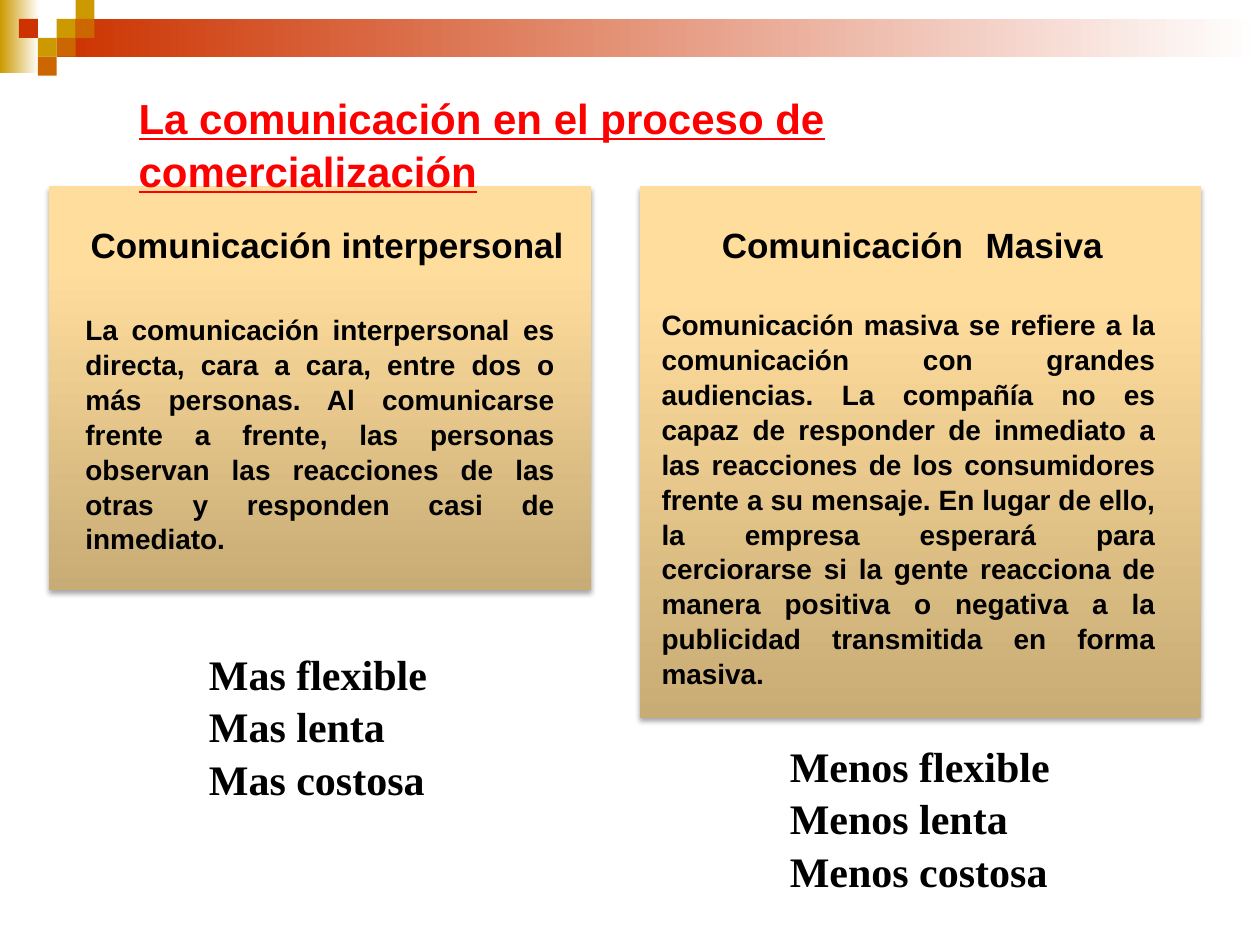
from copy import deepcopy
from dataclasses import dataclass

from lxml import etree
from pptx import Presentation
from pptx.dml.color import RGBColor
from pptx.enum import shapes, text
from pptx.oxml import ns
from pptx.util import Inches, Pt

COLORS = {
    "gold": "CC9900", "red": "CC3300", "orange": "CC6600", "white": "FFFFFF",
    "black": "000000", "title": "FF0000",
    "panel_dark": "C8AC75", "panel_mid": "FFDD9D", "panel_light": "FFDE9F",
}
SERIF = "Times New Roman"
LINE_SPACING = 1.04
TILE = 0.15


@dataclass(frozen=True)
class Area:
    left: float
    top: float
    width: float
    height: float

    def lengths(self) -> list:
        return [Inches(v) for v in (self.left, self.top, self.width, self.height)]


@dataclass(frozen=True)
class Column:
    panel: Area
    heading_area: Area
    heading: list      # (text, size) pairs
    body_area: Area
    body: str
    body_inset: bool
    traits_area: Area
    traits: list


def color(name: str) -> RGBColor:
    return RGBColor.from_string(COLORS[name])


def add_rect(page, area: Area, fill: str = ""):
    rect = page.shapes.add_shape(shapes.MSO_SHAPE.RECTANGLE, *area.lengths())
    rect.line.fill.background()
    rect.shadow.inherit = False
    if fill:
        rect.fill.solid()
        rect.fill.fore_color.rgb = color(fill)
    return rect


def set_gradient(rect, stops: list, angle: float) -> None:
    """Fill with (position, colour) stops; angle is counter-clockwise."""
    rect.fill.gradient()
    rect.fill.gradient_angle = angle
    stop_list = rect._element.spPr.find(".//" + ns.qn("a:gsLst"))
    template = deepcopy(stop_list[0])
    for stop in list(stop_list):
        stop_list.remove(stop)
    for position, name in stops:
        stop = deepcopy(template)
        stop.set("pos", str(position * 1000))
        stop.remove(stop[0])
        etree.SubElement(stop, ns.qn("a:srgbClr"), val=COLORS[name])
        stop_list.append(stop)


def add_soft_shadow(rect) -> None:
    effects = rect._element.spPr.find(ns.qn("a:effectLst"))
    shadow = etree.SubElement(
        effects, ns.qn("a:outerShdw"), blurRad=str(Pt(3.1)), dist=str(Pt(1.8)),
        dir="5400000", rotWithShape="0")
    tint = etree.SubElement(shadow, ns.qn("a:srgbClr"), val=COLORS["black"])
    etree.SubElement(tint, ns.qn("a:alpha"), val="35000")


def write(box, lines: list, *, font: str = "Arial", fill: str = "black",
          underline: bool = False, align=text.PP_ALIGN.LEFT,
          wrap: bool = True, inset: bool = True) -> None:
    """Write lines, each a list of (text, size) pairs, into a box."""
    frame = box.text_frame
    frame.word_wrap = wrap
    frame.vertical_anchor = text.MSO_ANCHOR.TOP
    frame.auto_size = text.MSO_AUTO_SIZE.NONE
    frame.margin_left = frame.margin_right = Inches(0.1 if inset else 0)
    frame.margin_top = frame.margin_bottom = Inches(0.05 if inset else 0)
    for index, spans in enumerate(lines):
        para = frame.add_paragraph() if index else frame.paragraphs[0]
        para.alignment = align
        para.line_spacing = LINE_SPACING
        para.space_before = Pt(0)
        for words, size in spans:
            span = para.add_run()
            span.text = words
            span.font.name = font
            span.font.size = Pt(size)
            span.font.bold = True
            span.font.underline = underline
            span.font.color.rgb = color(fill)


def add_text(page, area: Area, lines: list, **style) -> None:
    write(page.shapes.add_textbox(*area.lengths()), lines, **style)


def draw_header(page) -> None:
    corner = add_rect(page, Area(0, 0, 0.31, 0.58))
    set_gradient(corner, [(0, "gold"), (100, "white")], 0)
    band = add_rect(page, Area(0.45, 0.15, 9.55, 0.3))
    set_gradient(band, [(0, "red"), (100, "white")], 0)
    # Mosaic tiles as (column, row, colour)
    for column, row, name in [
        (3, 1, "gold"), (4, 0, "gold"), (4, 1, "orange"), (2, 2, "gold"),
        (1, 1, "red"), (3, 2, "orange"), (2, 3, "orange"),
    ]:
        add_rect(page, Area(column * TILE, row * TILE, TILE, TILE), name)


def draw_column(page, column: Column) -> None:
    panel = add_rect(page, column.panel)
    set_gradient(panel, [(0, "panel_dark"), (80, "panel_mid"), (100, "panel_light")], 90)
    add_soft_shadow(panel)
    add_text(page, column.body_area, [[(column.body, 16)]],
             align=text.PP_ALIGN.JUSTIFY, inset=column.body_inset)
    add_text(page, column.heading_area, [column.heading], wrap=False)
    add_text(page, column.traits_area, [[(trait, 24)] for trait in column.traits],
             font=SERIF)


COLUMNS = [
    Column(
        Area(5.08, 1.48, 4.45, 4.22),
        Area(5.63, 1.33, 3.25, 0.88),
        [("Comunicación", 20), (" ", 46), ("Masiva", 20)],
        Area(5.25, 2.43, 3.92, 2.41),
        "Comunicación masiva se refiere a la comunicación con grandes audiencias. "
        "La compañía no es capaz de responder de inmediato a las reacciones de los "
        "consumidores frente a su mensaje. En lugar de ello, la empresa esperará para "
        "cerciorarse si la gente reacciona de manera positiva o negativa a la "
        "publicidad transmitida en forma masiva.",
        False,
        Area(6.17, 5.81, 2.5, 1.31),
        ["Menos flexible", "Menos lenta", "Menos costosa"],
    ),
    Column(
        Area(0.39, 1.48, 4.3, 3.2),
        Area(0.62, 1.71, 3.99, 0.44),
        [("Comunicación interpersonal", 20)],
        Area(0.58, 2.42, 3.92, 1.7),
        "La comunicación interpersonal es directa, cara a cara, entre dos o más "
        "personas. Al comunicarse frente a frente, las personas observan las "
        "reacciones de las otras y responden casi de inmediato. ",
        True,
        Area(1.56, 5.08, 1.93, 1.31),
        ["Mas flexible", "Mas lenta", "Mas costosa"],
    ),
]


def main() -> None:
    deck = Presentation()
    deck.slide_width, deck.slide_height = Inches(10), Inches(7.5)
    page = deck.slides.add_slide(deck.slide_layouts[5])

    draw_header(page)
    for column in COLUMNS:
        draw_column(page, column)

    # Title, kept in front of the panels
    title = page.shapes.title
    title.left, title.top, title.width, title.height = Area(1, 0.67, 8.4, 0.5).lengths()
    write(title, [[("La comunicación en el proceso de comercialización", 24)]],
          fill="title", underline=True)
    page.shapes._spTree.append(title._element)

    deck.save("out.pptx")


if __name__ == "__main__":
    main()
